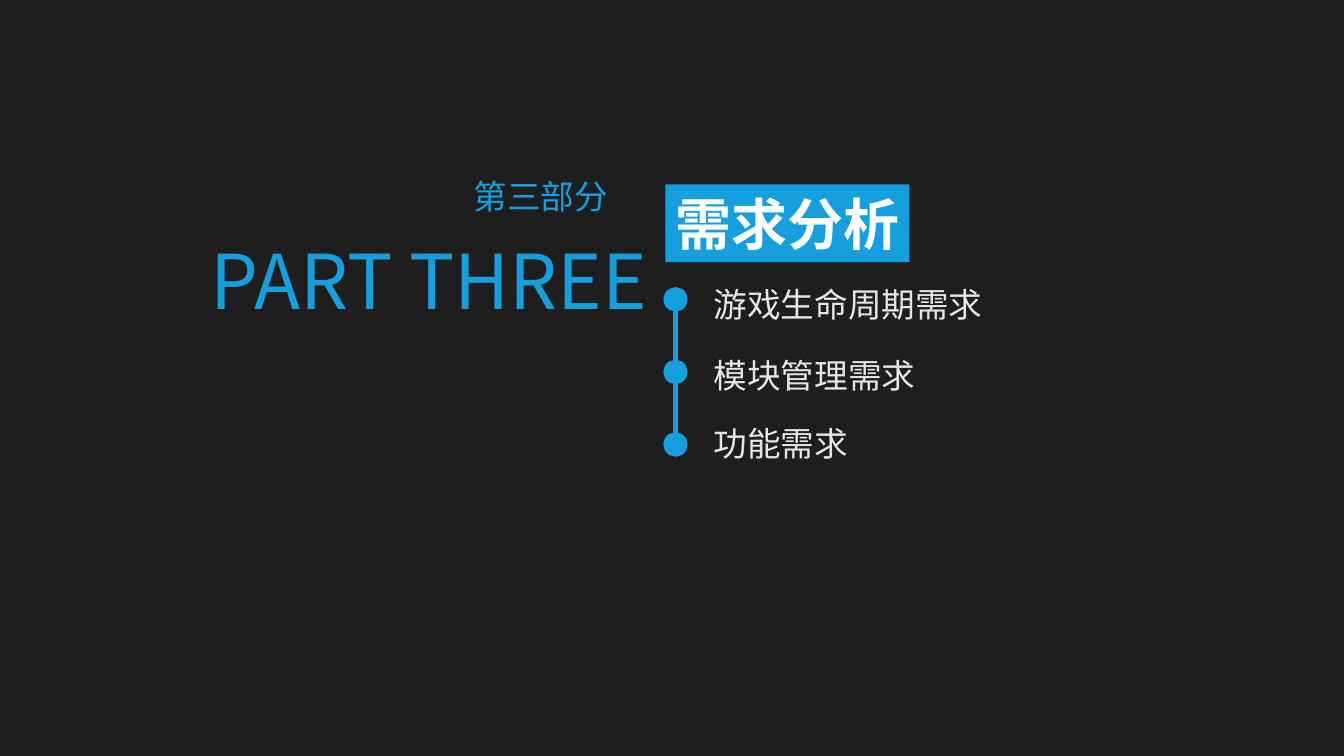
from dataclasses import dataclass

from lxml.etree import SubElement
from pptx import Presentation
from pptx.dml.color import RGBColor
from pptx.enum.dml import MSO_PATTERN
from pptx.enum.shapes import MSO_CONNECTOR, MSO_SHAPE
from pptx.enum.text import MSO_AUTO_SIZE, PP_ALIGN
from pptx.oxml.ns import qn
from pptx.shapes.autoshape import Shape
from pptx.slide import Slide
from pptx.util import Inches, Pt

FONT = "Noto Sans CJK SC"
BLUE = RGBColor(0x15, 0x9F, 0xDD)
WHITE = RGBColor(0xFF, 0xFF, 0xFF)
PALE = RGBColor(0xE7, 0xE6, 0xE6)
BLACK = RGBColor(0x00, 0x00, 0x00)
STRIPE = RGBColor(0xBF, 0xBF, 0xBF)
BACKDROP = RGBColor(0xDD, 0xDC, 0xE2)

DOT_SIZE = 0.2
DOT_LEFT = 6.6
DOT_TOP = 2.87
DOT_STEP = 0.72


@dataclass
class Label:
    text: str
    left: float
    top: float
    width: float
    height: float = 0.5
    size: int = 24
    color: RGBColor = PALE
    bold: bool = False


HEADING = Label("需求分析", 6.6, 1.83, 2.42, 0.77, 40, WHITE, True)
PART_LABELS = [
    Label("第三部分", 4.6, 1.7, 1.53, color=BLUE),
    Label("PART THREE", 1.99, 2.27, 4.57, 1.01, 54, BLUE),
]
TOPICS = [
    Label("游戏生命周期需求", 6.98, 2.77, 2.87),
    Label("模块管理需求", 6.98, 3.47, 2.2),
    Label("功能需求", 6.98, 4.15, 1.53),
]


def write_text(sp: Shape, label: Label) -> None:
    tf = sp.text_frame
    tf.word_wrap = False
    tf.auto_size = MSO_AUTO_SIZE.SHAPE_TO_FIT_TEXT
    p = tf.paragraphs[0]
    p.alignment = PP_ALIGN.LEFT
    r = p.add_run()
    r.text = label.text
    r.font.size = Pt(label.size)
    r.font.bold = label.bold
    r.font.color.rgb = label.color
    r.font.name = FONT
    SubElement(r.font._element, qn("a:ea")).set("typeface", FONT)


def add_label(s: Slide, label: Label) -> None:
    sp = s.shapes.add_textbox(Inches(label.left), Inches(label.top),
                              Inches(label.width), Inches(label.height))
    write_text(sp, label)


def add_filled(s: Slide, kind: MSO_SHAPE, left: float, top: float,
               width: float, height: float, color: RGBColor) -> Shape:
    sp = s.shapes.add_shape(kind, Inches(left), Inches(top),
                            Inches(width), Inches(height))
    sp.shadow.inherit = False
    sp.fill.solid()
    sp.fill.fore_color.rgb = color
    sp.line.fill.background()
    return sp


def add_background(s: Slide) -> None:
    fill = s.background.fill
    fill.patterned()
    fill.pattern = MSO_PATTERN.LIGHT_UPWARD_DIAGONAL
    fill.fore_color.rgb = STRIPE
    fill.back_color.rgb = BACKDROP
    veil = add_filled(s, MSO_SHAPE.RECTANGLE, 0, 0, 13.33, 7.5, BLACK)
    color = veil._element.spPr.find(qn("a:solidFill")).find(qn("a:srgbClr"))
    SubElement(color, qn("a:alpha")).set("val", "86000")


def add_timeline(s: Slide, count: int) -> None:
    x = Inches(DOT_LEFT + DOT_SIZE / 2)
    line = s.shapes.add_connector(MSO_CONNECTOR.STRAIGHT,
                                  x, Inches(2.89), x, Inches(4.4))
    line.line.color.rgb = BLUE
    line.line.width = Pt(3)
    SubElement(line._element.spPr, qn("a:effectLst"))
    for i in range(count):
        dot = add_filled(s, MSO_SHAPE.OVAL, DOT_LEFT, DOT_TOP + i * DOT_STEP,
                         DOT_SIZE, DOT_SIZE, BLUE)
        dot.line.color.rgb = BLUE
        dot.line.width = Pt(3)


def main() -> None:
    prs = Presentation()
    prs.slide_width = Inches(13.33)
    prs.slide_height = Inches(7.5)
    s = prs.slides.add_slide(prs.slide_layouts[6])
    add_background(s)
    add_timeline(s, len(TOPICS))
    heading = add_filled(s, MSO_SHAPE.RECTANGLE, HEADING.left, HEADING.top,
                         HEADING.width, HEADING.height, BLUE)
    write_text(heading, HEADING)
    for label in PART_LABELS + TOPICS:
        add_label(s, label)
    prs.save("out.pptx")


if __name__ == "__main__":
    main()
